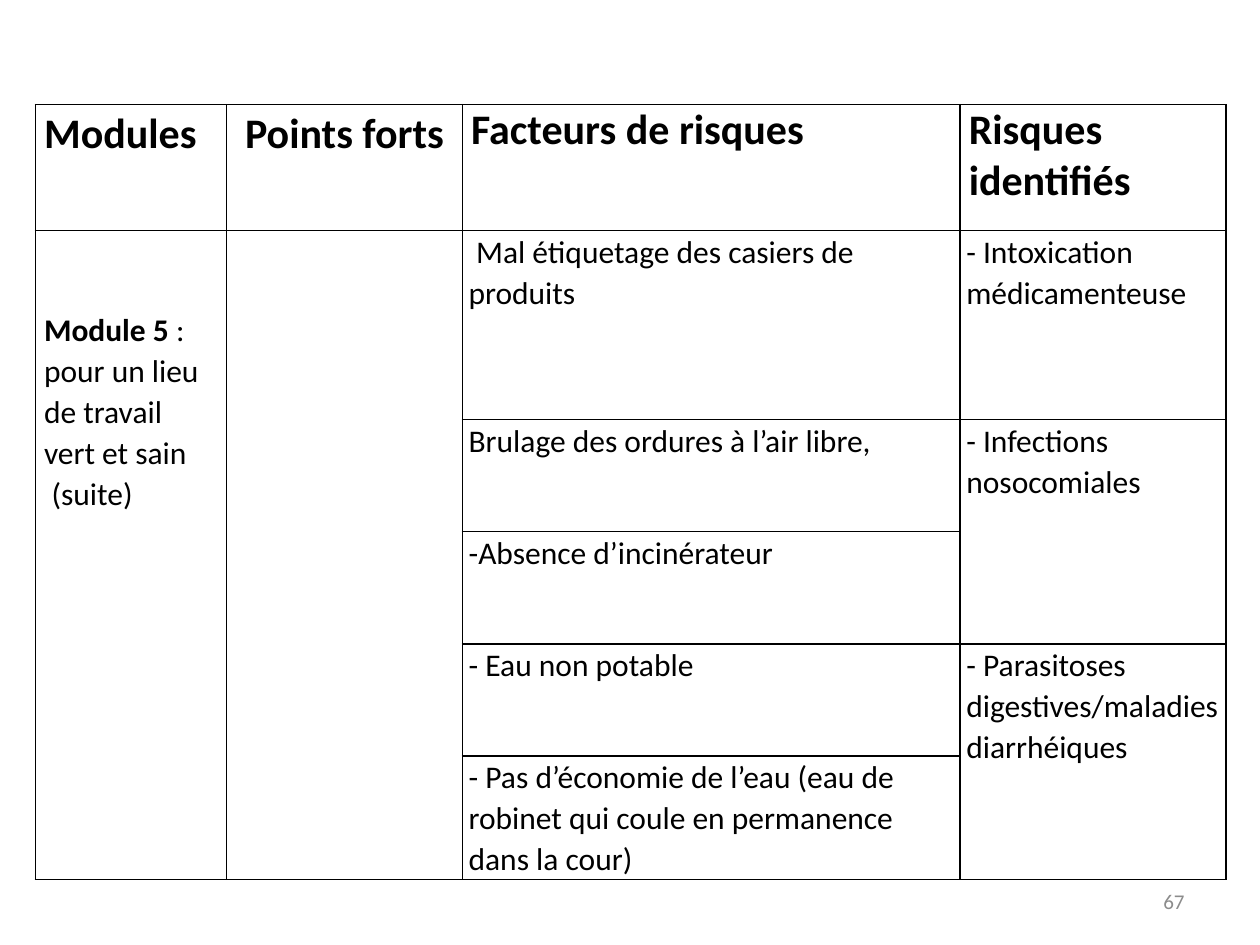
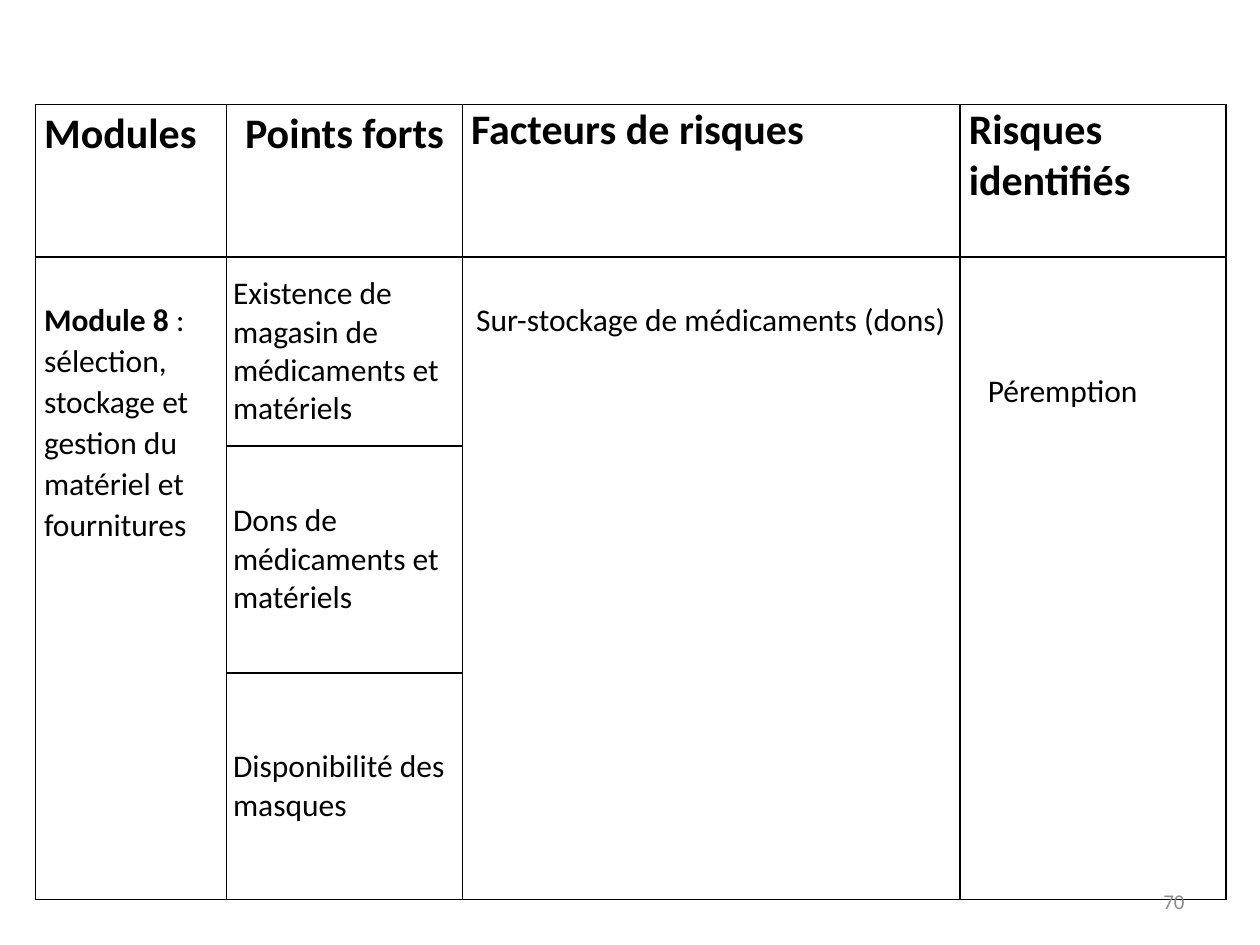
"""Build two risk-analysis table slides, one for each module."""
from lxml.etree import SubElement
from pptx import Presentation
from pptx.dml.color import RGBColor
from pptx.enum.text import MSO_ANCHOR, PP_ALIGN
from pptx.oxml.ns import qn
from pptx.util import Inches, Pt

FONT = "Calibri"
BLACK = "000000"
GREY = "8C8C8C"
LOOSE = 1.07
COLUMN_WIDTHS = [1.52, 1.87, 3.95, 2.11]
HEADINGS = ["Modules", "Points forts", "Facteurs de risques", "Risques identifiés"]
MODULE, STRENGTH, FACTOR, RISK = range(4)

SLIDES = [
    {
        "number": "67",
        "row_heights": [1, 1.5, 0.89, 0.89, 0.89, 0.98],
        "entries": [
            {"row": 1, "column": MODULE, "span": 5, "top": 0.62, "indent": 0.06,
             "text": "Module 5 |:\npour un lieu de travail vert et sain\n(suite)"},
            {"row": 1, "column": STRENGTH, "span": 5, "text": ""},
            {"row": 1, "column": FACTOR, "indent": 0.06,
             "text": "Mal étiquetage des casiers de produits"},
            {"row": 2, "column": FACTOR, "text": "Brulage des ordures à l’air libre,"},
            {"row": 3, "column": FACTOR, "text": "-Absence d’incinérateur"},
            {"row": 4, "column": FACTOR, "text": "- Eau non potable"},
            {"row": 5, "column": FACTOR,
             "text": "- Pas d’économie de l’eau (eau de robinet qui coule en permanence dans la cour)"},
            {"row": 1, "column": RISK, "text": "- Intoxication médicamenteuse"},
            {"row": 2, "column": RISK, "span": 2, "text": "- Infections nosocomiales"},
            {"row": 4, "column": RISK, "span": 2,
             "text": "- Parasitoses digestives/maladies diarrhéiques"},
        ],
    },
    {
        "number": "70",
        "row_heights": [1.21, 1.5, 1.8, 1.8],
        "entries": [
            {"row": 1, "column": MODULE, "span": 3, "top": 0.33,
             "text": "Module 8| : sélection, stockage et gestion du matériel et fournitures"},
            {"row": 1, "column": STRENGTH, "spacing": 1, "anchor": MSO_ANCHOR.MIDDLE,
             "text": "Existence de magasin de médicaments et matériels"},
            {"row": 2, "column": STRENGTH, "spacing": 1, "anchor": MSO_ANCHOR.MIDDLE,
             "text": "Dons de médicaments et matériels"},
            {"row": 3, "column": STRENGTH, "spacing": 1, "anchor": MSO_ANCHOR.MIDDLE,
             "text": "Disponibilité des masques"},
            {"row": 1, "column": FACTOR, "span": 3, "top": 0.33, "indent": 0.06,
             "text": "Sur-stockage de médicaments (dons)"},
            {"row": 1, "column": RISK, "span": 3, "top": 0.92, "indent": 0.17,
             "spacing": 1, "text": "Péremption"},
        ],
    },
]


def style_font(font, size, color, bold=False):
    """Apply the shared typeface with a size, hex colour and weight."""
    font.name = FONT
    font.size = Pt(size)
    font.bold = bold
    font.color.rgb = RGBColor.from_string(color)


def write_cell(cell, entry, size=18, bold=False):
    """Write an entry; a bar ends its bold lead, an indent moves its last paragraph."""
    cell.margin_top = Inches(entry.get("top", 0))
    cell.vertical_anchor = entry.get("anchor", MSO_ANCHOR.TOP)
    cell.text_frame.text = entry["text"].replace("|", "")
    for paragraph, line in zip(cell.text_frame.paragraphs, entry["text"].split("\n")):
        paragraph.line_spacing = entry.get("spacing", LOOSE)
        paragraph.alignment = entry.get("alignment", PP_ALIGN.LEFT)
        style_font(paragraph.font, size, BLACK, bold)
        lead, bar, rest = line.partition("|")
        if bar:
            paragraph.runs[0].text = lead
            paragraph.add_run().text = rest
        for position, run in enumerate(paragraph.runs):
            style_font(run.font, size, BLACK, bold or (bool(bar) and position == 0))
    if "indent" in entry:
        properties = paragraph._p.get_or_add_pPr()
        properties.set("marL", "0")
        properties.set("indent", str(Inches(entry["indent"])))


presentation = Presentation()
presentation.slide_width = Inches(10)
presentation.slide_height = Inches(7.5)

for content in SLIDES:
    slide = presentation.slides.add_slide(presentation.slide_layouts[6])
    heights = content["row_heights"]
    table = slide.shapes.add_table(
        len(heights), len(COLUMN_WIDTHS), Inches(0.28), Inches(0.83),
        Inches(sum(COLUMN_WIDTHS)), Inches(sum(heights))).table
    table.first_row = False
    table.horz_banding = False
    for column, width in zip(table.columns, COLUMN_WIDTHS):
        column.width = Inches(width)
    for row, height in zip(table.rows, heights):
        row.height = Inches(height)

    for row_index, row in enumerate(table.rows):
        for column_index, cell in enumerate(row.cells):
            inset = 0.07 if row_index == 0 or column_index == MODULE else 0.05
            cell.margin_left = cell.margin_right = Inches(inset)
            cell.margin_top = cell.margin_bottom = 0
            properties = cell._tc.get_or_add_tcPr()
            for side in ("lnL", "lnR", "lnT", "lnB"):
                border = SubElement(properties, qn(f"a:{side}"), w=str(Pt(1)))
                border_fill = SubElement(border, qn("a:solidFill"))
                SubElement(border_fill, qn("a:srgbClr"), val=BLACK)
            cell.fill.background()

    for column_index, heading in enumerate(HEADINGS):
        centred = column_index == STRENGTH
        write_cell(table.cell(0, column_index), {
            "text": heading,
            "spacing": LOOSE if column_index < FACTOR else 1,
            "alignment": PP_ALIGN.CENTER if centred else PP_ALIGN.LEFT,
        }, size=24, bold=True)

    for entry in content["entries"]:
        cell = table.cell(entry["row"], entry["column"])
        if "span" in entry:
            last_row = entry["row"] + entry["span"] - 1
            cell.merge(table.cell(last_row, entry["column"]))
        write_cell(cell, entry)

    number_box = slide.shapes.add_textbox(Inches(7.17), Inches(6.95), Inches(2.33), Inches(0.4))
    number_box.text_frame.word_wrap = True
    number_box.text_frame.vertical_anchor = MSO_ANCHOR.MIDDLE
    number_box.text_frame.text = content["number"]
    paragraph = number_box.text_frame.paragraphs[0]
    paragraph.alignment = PP_ALIGN.RIGHT
    style_font(paragraph.runs[0].font, 12, GREY)

presentation.save("out.pptx")
